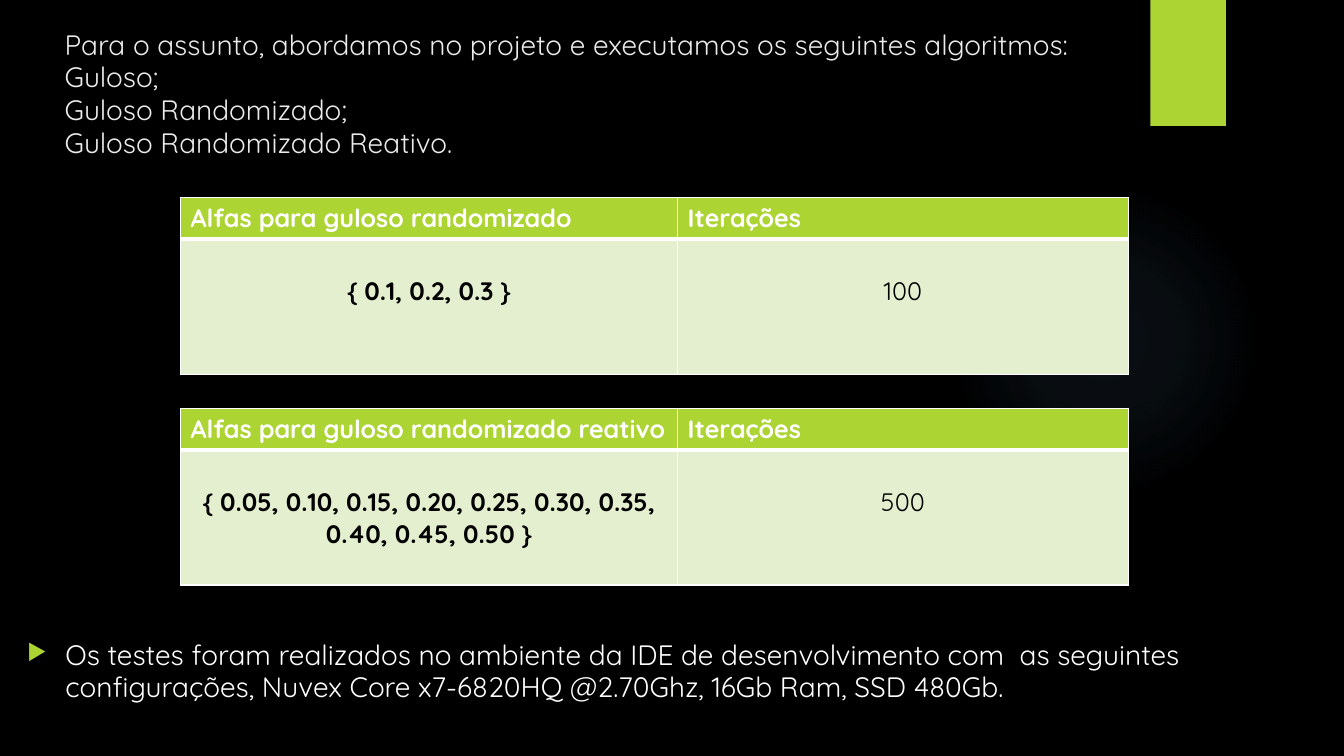
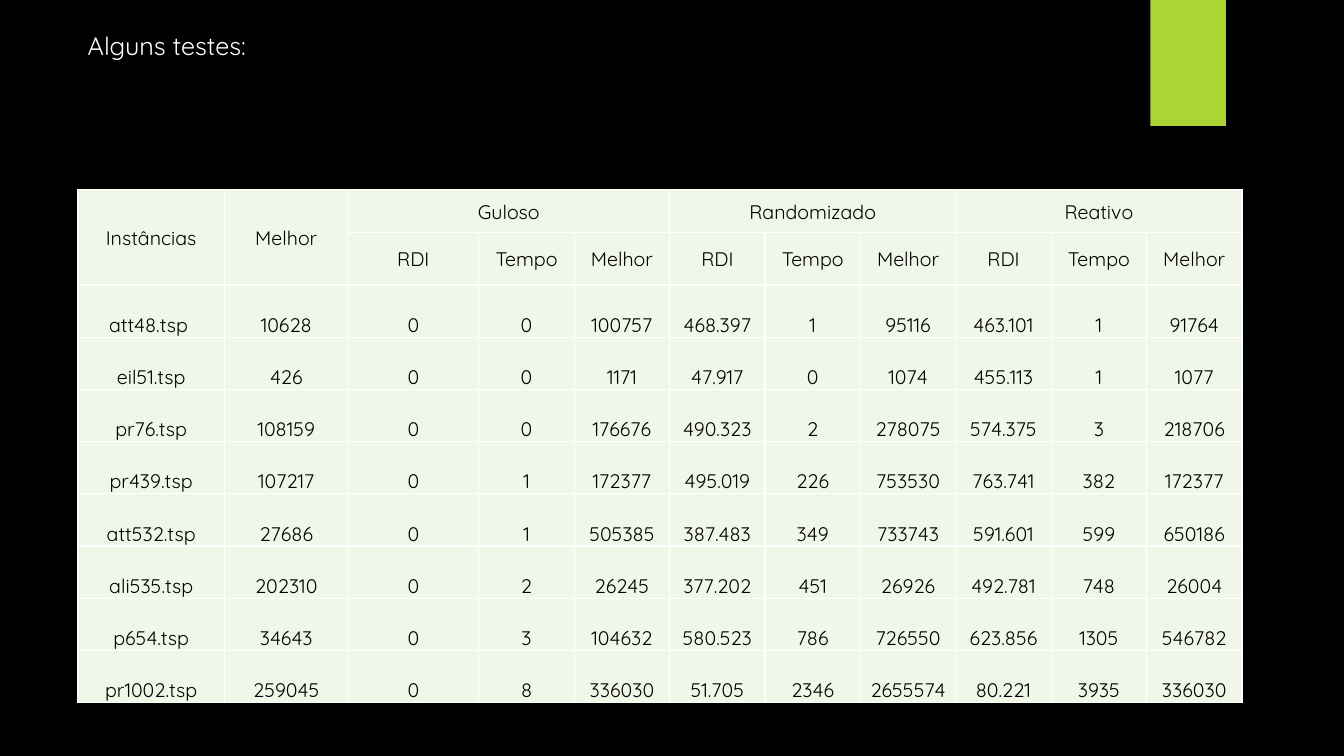
import pptx
import pptx.util
import pptx.oxml
import pptx.oxml.ns
from pptx.dml.color import RGBColor
from pptx.enum.shapes import MSO_SHAPE
from pptx.enum.text import MSO_ANCHOR, MSO_AUTO_SIZE, PP_ALIGN
from pptx.util import Inches

# Shared look
FONT = "Quicksand"
BLACK = RGBColor(0x00, 0x00, 0x00)
WHITE = RGBColor(0xFF, 0xFF, 0xFF)
OFF_WHITE = RGBColor(0xEB, 0xEB, 0xEB)
GREEN = RGBColor(0xAC, 0xD4, 0x33)
GREEN_LIGHT = RGBColor(0xE3, 0xEF, 0xCE)
GREEN_PALE = RGBColor(0xF1, 0xF7, 0xE8)
GLOW = RGBColor(0x7A, 0xC4, 0xF0)
GLOW_STOPS = [(0, 7), (36, 6), (69, 0)]  # position %, opacity %
A_NS = pptx.oxml.ns.nsdecls("a")

# Content
ALGORITHMS = [
    "Para o assunto, abordamos no projeto e executamos os seguintes algoritmos:",
    "Guloso;",
    "Guloso Randomizado;",
    "Guloso Randomizado Reativo.",
]
ALPHA_TABLES = [  # top, heading, alphas, iterations
    (1.96, "Alfas para guloso randomizado", "{ 0.1, 0.2, 0.3 }", "100"),
    (4.05, "Alfas para guloso randomizado reativo",
     "{ 0.05, 0.10, 0.15, 0.20, 0.25, 0.30, 0.35, 0.40, 0.45, 0.50 }", "500"),
]
ENVIRONMENT = ("Os testes foram realizados no ambiente da IDE de desenvolvimento com  as "
               "seguintes configurações, Nuvex Core x7-6820HQ @2.70Ghz, 16Gb Ram, SSD 480Gb.")
TESTS_TITLE = ["Alguns testes:"]
LEAD_COLUMNS = ["Instâncias", "Melhor"]
METHODS = ["Guloso", "Randomizado", "Reativo"]
MEASURES = ["RDI", "Tempo", "Melhor"]
RESULTS = [
    ("att48.tsp ", "10628", "0", "0", "100757", "468.397", "1", "95116", "463.101", "1", "91764"),
    ("eil51.tsp", "426", "0", "0", "1171", "47.917", "0", "1074", "455.113", "1", "1077"),
    ("pr76.tsp", "108159", "0", "0", "176676", "490.323", "2", "278075", "574.375", "3", "218706"),
    ("pr439.tsp", "107217", "0", "1", "172377", "495.019", "226", "753530", "763.741", "382", "172377"),
    ("att532.tsp", "27686", "0", "1", "505385", "387.483", "349", "733743", "591.601", "599", "650186"),
    ("ali535.tsp", "202310", "0", "2", "26245", "377.202", "451", "26926", "492.781", "748", "26004"),
    ("p654.tsp", "34643", "0", "3", "104632", "580.523", "786", "726550", "623.856", "1305", "546782"),
    ("pr1002.tsp", "259045", "0", "8", "336030", "51.705", "2346", "2655574", "80.221", "3935", "336030"),
]


def add_run(p, text, size, color, bold=False):
    r = p.add_run()
    r.text = text
    r.font.name = FONT
    r.font.size = pptx.util.Pt(size)
    r.font.color.rgb = color
    r.font.bold = bold


def decorate_master(prs, s):
    """Draw the glow and the green tab once, then move them to the master."""
    master = prs.slide_master
    master.background.fill.solid()
    master.background.fill.fore_color.rgb = BLACK
    glow = s.shapes.add_shape(MSO_SHAPE.OVAL, Inches(9.41), Inches(1.83), Inches(3.08), Inches(3.08))
    stops = "".join(
        f'<a:gs pos="{pos * 1000}"><a:srgbClr val="{GLOW}"><a:alpha val="{alpha * 1000}"/>'
        f'</a:srgbClr></a:gs>' for pos, alpha in GLOW_STOPS)
    glow._element.spPr.insert(2, pptx.oxml.parse_xml(
        f'<a:gradFill {A_NS}><a:gsLst>{stops}</a:gsLst><a:path path="circle">'
        '<a:fillToRect l="50000" t="50000" r="50000" b="50000"/></a:path></a:gradFill>'))
    tab = s.shapes.add_shape(MSO_SHAPE.RECTANGLE, Inches(11.41), 0, Inches(0.75), Inches(1.25))
    tab.fill.solid()
    tab.fill.fore_color.rgb = GREEN
    for shape in (glow, tab):
        shape.line.fill.background()
        shape.shadow.inherit = False
        master.shapes._spTree.append(shape._element)


def set_title(s, lines, box, size, color):
    title = s.shapes.title
    title.left, title.top, title.width, title.height = map(Inches, box)
    tf = title.text_frame
    tf.word_wrap = True
    tf.auto_size = MSO_AUTO_SIZE.NONE
    tf.vertical_anchor = MSO_ANCHOR.TOP
    p = tf.paragraphs[0]
    p.alignment = PP_ALIGN.LEFT
    for i, line in enumerate(lines):
        if i:
            p.add_line_break()
        add_run(p, line, size, color)
    return p


def add_table(s, left, top, widths, heights):
    frame = s.shapes.add_table(len(heights), len(widths), Inches(left), Inches(top),
                               Inches(sum(widths)), Inches(sum(heights)))
    table = frame.table
    table.first_row = table.horz_banding = False
    for column, width in zip(table.columns, widths):
        column.width = Inches(width)
    for row, height in zip(table.rows, heights):
        row.height = Inches(height)
    return table


def style_cell(cell, fill, top=1, bottom=1):
    """White borders (widths in points), then the fill."""
    tcPr = cell._tc.get_or_add_tcPr()
    for side, width in (("L", 1), ("R", 1), ("T", top), ("B", bottom)):
        tcPr.append(pptx.oxml.parse_xml(
            f'<a:ln{side} {A_NS} w="{width * 12700}"><a:solidFill><a:srgbClr val="{WHITE}"/>'
            f'</a:solidFill></a:ln{side}>'))
    cell.fill.solid()
    cell.fill.fore_color.rgb = fill


def write_cell(cell, text, size, color, bold=False, align=PP_ALIGN.CENTER):
    p = cell.text_frame.paragraphs[0]
    p.alignment = align
    add_run(p, text, size, color, bold)


def add_alpha_table(s, top, heading, alphas, iterations):
    table = add_table(s, 1.79, top, [4.93, 4.47], [0.41, 1.34])
    for c, text in enumerate((heading, "Iterações")):
        style_cell(table.cell(0, c), GREEN, bottom=3)
        write_cell(table.cell(0, c), text, 18, WHITE, True, PP_ALIGN.LEFT)
    for c, text in enumerate((alphas, iterations)):
        cell = table.cell(1, c)
        cell.margin_top = Inches(0.36)
        style_cell(cell, GREEN_LIGHT, top=3)
        write_cell(cell, text, 18, BLACK, bold=c == 0)


def add_bullet(s, text):
    box = s.shapes.add_textbox(Inches(0.17), Inches(6.29), Inches(13.16), Inches(0.8))
    tf = box.text_frame
    tf.word_wrap = True
    p = tf.paragraphs[0]
    p.line_spacing = 0.97
    pPr = p._p.get_or_add_pPr()
    pPr.set("marL", str(Inches(0.38)))
    pPr.set("indent", str(-Inches(0.38)))
    for tag in (f'<a:buClr {A_NS}><a:srgbClr val="{GREEN}"/></a:buClr>',
                f'<a:buSzPct {A_NS} val="80000"/>',
                f'<a:buChar {A_NS} char="▶"/>'):
        pPr.append(pptx.oxml.parse_xml(tag))
    add_run(p, text, 20, WHITE)


def add_results_table(s):
    lead = len(LEAD_COLUMNS)
    span = len(MEASURES)
    first_widths = [1.46, 1.22, 1.3]
    others = lead + span * len(METHODS) - len(first_widths)
    widths = first_widths + [(11.55 - sum(first_widths)) / others] * others
    heights = [0.43] + [(5.09 - 0.43) / (len(RESULTS) + 1)] * (len(RESULTS) + 1)
    table = add_table(s, 0.77, 1.88, widths, heights)
    for i, cell in enumerate(table.iter_cells()):
        style_cell(cell, GREEN_PALE)
        cell.margin_left = cell.margin_right = cell.margin_top = Inches(0.01)
        cell.margin_bottom = 0
        in_header = i < 2 * len(widths)
        cell.vertical_anchor = MSO_ANCHOR.MIDDLE if in_header else MSO_ANCHOR.BOTTOM

    # Two header rows with merged cells
    for c, name in enumerate(LEAD_COLUMNS):
        table.cell(0, c).merge(table.cell(1, c))
        write_cell(table.cell(0, c), name, 14, BLACK)
    for m, method in enumerate(METHODS):
        c = lead + m * span
        table.cell(0, c).merge(table.cell(0, c + span - 1))
        write_cell(table.cell(0, c), method, 14, BLACK)
        for k, measure in enumerate(MEASURES):
            write_cell(table.cell(1, c + k), measure, 14, BLACK)

    # One row for each instance
    for r, row in enumerate(RESULTS, start=2):
        for c, value in enumerate(row):
            write_cell(table.cell(r, c), value, 14, BLACK)


def main():
    prs = pptx.Presentation()
    prs.slide_width, prs.slide_height = Inches(13.33), Inches(7.5)
    title_only = prs.slide_layouts[5]

    # Algorithms and their parameters
    s = prs.slides.add_slide(title_only)
    decorate_master(prs, s)
    p = set_title(s, ALGORITHMS, (0.54, 0.24, 10.66, 1.53), 20, OFF_WHITE)
    p.line_spacing = 0.97
    for alpha_table in ALPHA_TABLES:
        add_alpha_table(s, *alpha_table)
    add_bullet(s, ENVIRONMENT)

    # Test results
    s = prs.slides.add_slide(title_only)
    set_title(s, TESTS_TITLE, (0.77, 0.25, 10.31, 0.4), 18, WHITE)
    add_results_table(s)

    prs.save("out.pptx")


if __name__ == "__main__":
    main()
